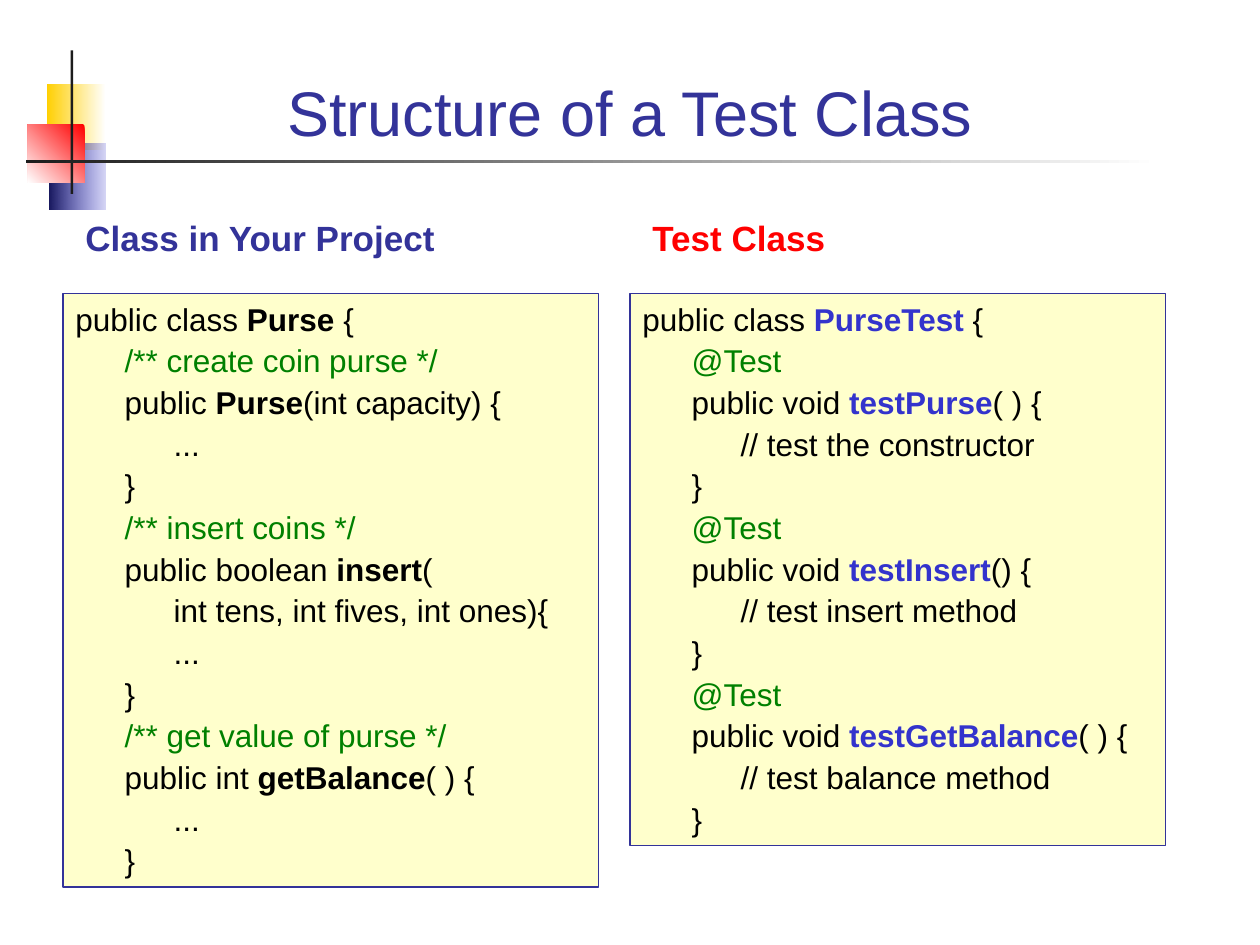
from dataclasses import dataclass

from lxml.etree import SubElement
from pptx import Presentation
from pptx.dml.color import RGBColor as RGB
from pptx.enum.shapes import MSO_SHAPE as SHAPE
from pptx.enum.text import MSO_ANCHOR as ANCHOR, MSO_AUTO_SIZE as FIT, PP_ALIGN as ALIGN
from pptx.oxml.ns import qn
from pptx.util import Inches, Pt


@dataclass(frozen=True)
class Theme:
    font: str = "Arial"
    title_size: int = 36
    heading_size: int = 20
    code_size: int = 18
    code_gap: float = 2.2
    navy: str = "333399"
    blue: str = "3333CC"
    dark_blue: str = "17175E"
    red: str = "FF0000"
    yellow: str = "FFCF01"
    green: str = "008000"
    cream: str = "FFFFCC"
    ink: str = "1C1C1C"
    black: str = "000000"
    white: str = "FFFFFF"


T = Theme()


# Code line parts: (text, colour, bold)
def plain(text):
    return text, T.black, False


def comment(text):
    return text, T.green, False


def name(text):
    return text, T.black, True


def test_name(text):
    return text, T.blue, True


PURSE = [
    [plain("public class "), name("Purse"), plain(" {")],
    [comment("\t/** create coin purse */")],
    [plain("\tpublic "), name("Purse"), plain("(int capacity) {")],
    [plain("\t\t...")],
    [plain("\t}")],
    [comment("\t/** insert coins */")],
    [plain("\tpublic boolean "), name("insert"), plain("(")],
    [plain("\t\tint tens, int fives, int ones){")],
    [plain("\t\t...")],
    [plain("\t}")],
    [comment("\t/** get value of purse */")],
    [plain("\tpublic int "), name("getBalance"), plain("( ) {")],
    [plain("\t\t...")],
    [plain("\t}")],
]

TESTS = [
    ("testPurse", "( ) {", "// test the constructor"),
    ("testInsert", "() {", "// test insert method"),
    ("testGetBalance", "( ) {", "// test balance method"),
]
PURSE_TEST = [[plain("public class "), test_name("PurseTest"), plain(" {")]]
for method, opening, note in TESTS:
    PURSE_TEST += [
        [comment("\t@Test")],
        [plain("\tpublic void "), test_name(method), plain(opening)],
        [plain("\t\t" + note)],
        [plain("\t}")],
    ]


def add_run(p, text, size, color, bold=False):
    r = p.add_run()
    r.text = text
    r.font.name, r.font.size, r.font.bold = T.font, Pt(size), bold
    r.font.color.rgb = RGB.from_string(color)


def add_tabs(p, stops):
    tabs = SubElement(p._p.get_or_add_pPr(), qn("a:tabLst"))
    for stop in stops:
        SubElement(tabs, qn("a:tab"), pos=str(Inches(stop)), algn="l")


def add_rect(slide, box):
    sp = slide.shapes.add_shape(SHAPE.RECTANGLE, *map(Inches, box))
    sp.shadow.inherit = False
    sp.line.fill.background()
    return sp


def fill_solid(sp, color):
    sp.fill.solid()
    sp.fill.fore_color.rgb = RGB.from_string(color)


def fill_gradient(sp, start, end, angle, start_alpha=100):
    sp.fill.gradient()
    sp.fill.gradient_angle = angle
    for stop, color, position in zip(sp.fill.gradient_stops, (start, end), (0, 1)):
        stop.color.rgb = RGB.from_string(color)
        stop.position = position
    if start_alpha < 100:
        first = next(sp._element.spPr.iter(qn("a:srgbClr")))
        SubElement(first, qn("a:alpha"), val=str(start_alpha * 1000))


def add_ornament(slide, left, top):
    # Three fading squares behind a crossing pair of bars
    def part(dx, dy, width, height):
        return add_rect(slide, (left + dx, top + dy, width, height))

    fill_gradient(part(0.16, 0.27, 0.47, 0.52), T.white, T.yellow, 180)
    fill_gradient(part(0.18, 0.74, 0.45, 0.52), T.blue, T.dark_blue, 180, 20)
    fill_gradient(part(0.01, 0.59, 0.45, 0.46), T.red, T.white, 225)
    fill_solid(part(0.35, 0, 0.02, 1.14), T.ink)
    fill_gradient(part(0, 0.87, 8.99, 0.02), T.white, T.ink, 180)


def add_title(slide, box, text):
    sp = slide.shapes.title
    sp.left, sp.top, sp.width, sp.height = map(Inches, box)
    tf = sp.text_frame
    tf.vertical_anchor = ANCHOR.BOTTOM
    p = tf.paragraphs[0]
    p.alignment = ALIGN.CENTER
    add_run(p, text, T.title_size, T.navy)


def add_headings(slide, box, left_text, right_text, column_step):
    tf = slide.shapes.add_textbox(*map(Inches, box)).text_frame
    tf.word_wrap = True
    p = tf.paragraphs[0]
    add_tabs(p, [column_step])
    add_run(p, left_text + "\t", T.heading_size, T.navy, True)
    add_run(p, right_text, T.heading_size, T.red, True)


def add_code(slide, box, lines):
    sp = add_rect(slide, box)
    fill_solid(sp, T.cream)
    sp.line.color.rgb = RGB.from_string(T.navy)
    sp.line.width = Pt(0.75)
    tf = sp.text_frame
    tf.word_wrap = True
    tf.auto_size = FIT.SHAPE_TO_FIT_TEXT
    tf.vertical_anchor = ANCHOR.TOP
    for i, line in enumerate(lines):
        p = tf.add_paragraph() if i else tf.paragraphs[0]
        p.alignment = ALIGN.LEFT
        p.space_before = Pt(T.code_gap if i else 0)
        add_tabs(p, [0.39, 0.78])
        for text, color, bold in line:
            add_run(p, text, T.code_size, color, bold)


def main():
    prs = Presentation()
    prs.slide_width, prs.slide_height = Inches(10), Inches(7.5)
    slide = prs.slides.add_slide(prs.slide_layouts[5])
    column_left, column_step, column_width = 0.5, 4.5, 4.25

    add_ornament(slide, 0.21, 0.4)
    add_title(slide, (0.67, 0.28, 8.66, 0.95), "Structure of a Test Class")
    add_headings(slide, (0.58, 1.67, 8.83, 0.44),
                 "Class in Your Project", "Test Class", column_step)
    for i, (lines, height) in enumerate([(PURSE, 4.71), (PURSE_TEST, 4.38)]):
        left = column_left + i * column_step
        add_code(slide, (left, 2.33, column_width, height), lines)

    prs.save("out.pptx")


if __name__ == "__main__":
    main()
